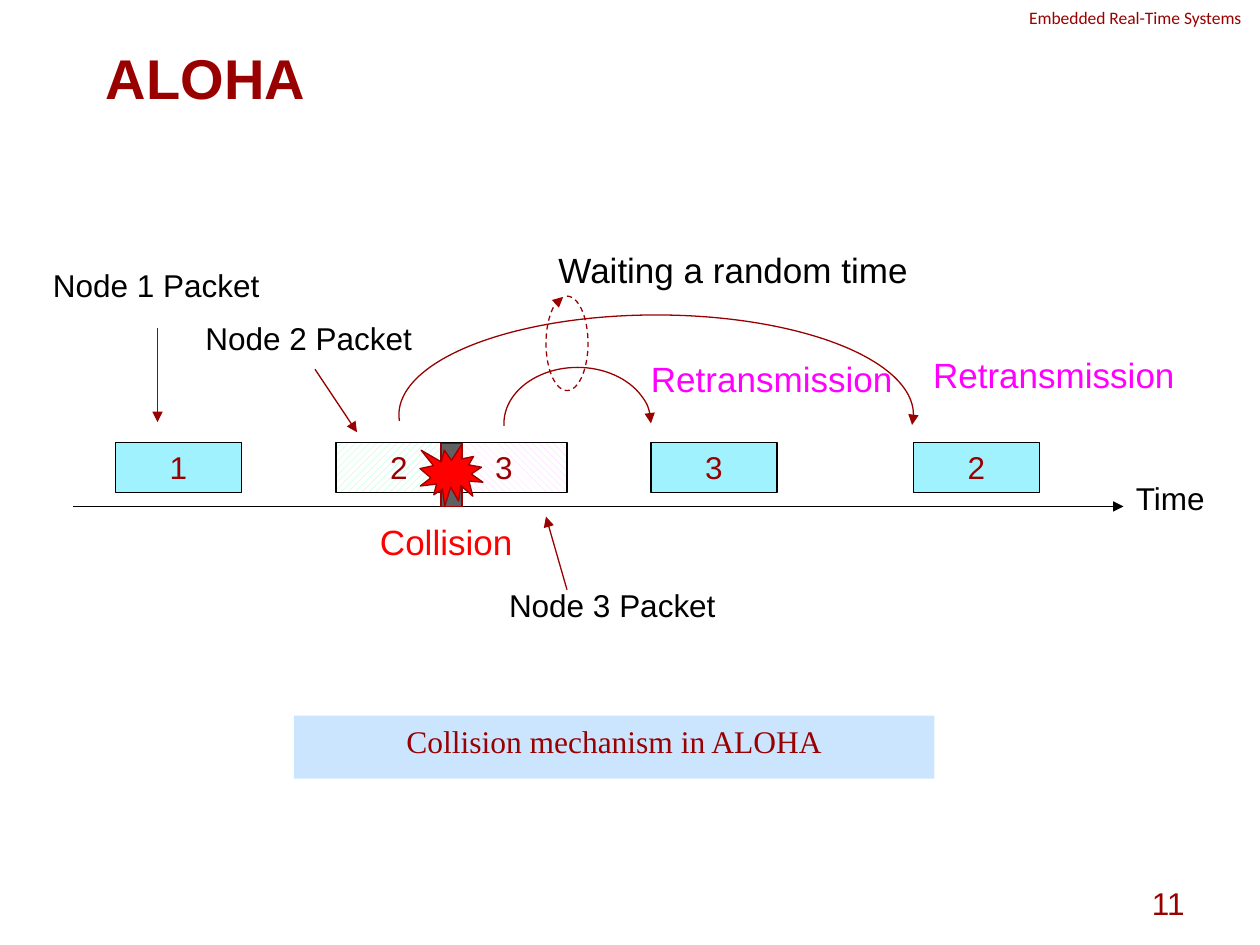
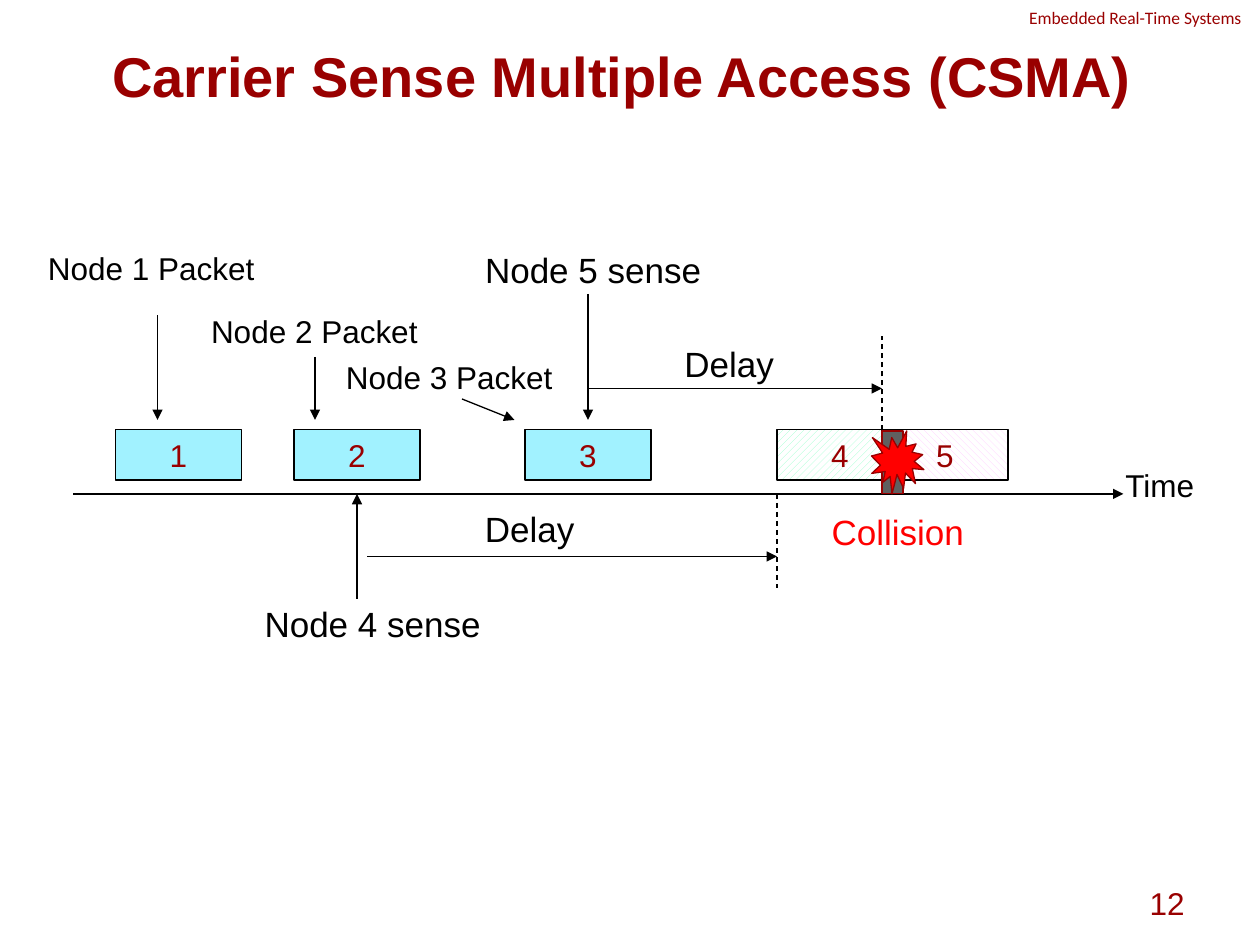
"""Build two slides on packet collisions in ALOHA and CSMA."""
from dataclasses import dataclass

from lxml import etree
from pptx import Presentation
from pptx.dml.color import RGBColor
from pptx.enum.dml import MSO_LINE, MSO_PATTERN
from pptx.enum.shapes import MSO_CONNECTOR, MSO_SHAPE
from pptx.enum.text import MSO_ANCHOR, PP_ALIGN
from pptx.oxml.ns import qn
from pptx.util import Pt

LEFT, CENTER, RIGHT = PP_ALIGN.LEFT, PP_ALIGN.CENTER, PP_ALIGN.RIGHT
TOP, MIDDLE = MSO_ANCHOR.TOP, MSO_ANCHOR.MIDDLE
RECTANGLE, ARC, BURST = MSO_SHAPE.RECTANGLE, MSO_SHAPE.ARC, MSO_SHAPE.EXPLOSION1
STRAIGHT, DASH = MSO_CONNECTOR.STRAIGHT, MSO_LINE.DASH
UPWARD, DOWNWARD = MSO_PATTERN.WIDE_UPWARD_DIAGONAL, MSO_PATTERN.WIDE_DOWNWARD_DIAGONAL

COLORS = {
    "maroon": "990000", "black": "000000", "white": "FFFFFF", "packet": "A1F2FF",
    "mint": "99FFCC", "pink": "FFCCFF", "red": "FF0000", "magenta": "FF00FF",
    "overlap": "606060", "caption": "99CCFF",
}
HATCHES = {"mint": UPWARD, "pink": DOWNWARD}
LINE_WIDTH = 0.75
AXIS_START, AXIS_END = 42, 642
PACKET_WIDTH, PACKET_HEIGHT, PACKET_RISE = 72, 28.8, 36.72
OVERLAP_WIDTH, OVERLAP_HEIGHT = 12, 36
TIME_RISE = 19.44


@dataclass
class Packet:
    """A numbered packet on the time axis."""
    text: str
    left: float
    fill: str = "packet"


@dataclass
class Label:
    """A line of text beside the diagram."""
    text: str
    left: float
    top: float
    width: float
    size: float = 18
    color: str = "black"
    align: PP_ALIGN = CENTER


@dataclass
class Line:
    """A straight line, with an arrowhead unless dashed."""
    start: tuple[float, float]
    end: tuple[float, float]
    color: str = "black"
    dashed: bool = False


@dataclass
class Curve:
    """A clockwise elliptical arc with an arrowhead, angles in degrees."""
    center: tuple[float, float]
    radii: tuple[float, float]
    angles: tuple[float, float]
    dashed: bool = False


@dataclass
class Diagram:
    """Everything that one slide shows."""
    number: int
    title: str
    title_box: tuple[float, float, float, float]
    axis_top: float
    time_left: float
    overlap_left: float
    burst: tuple[float, float]
    packets: list[Packet]
    labels: list[Label]
    lines: list[Line]
    curves: list[Curve]


ALOHA = Diagram(
    number=11, title="ALOHA", title_box=(53.28, 19.44, 612, 49.68),
    axis_top=289.44, time_left=642, overlap_left=252, burst=(240, 36),
    packets=[
        Packet("1", 66), Packet("2", 192, "mint"), Packet("3", 252, "pink"),
        Packet("3", 372), Packet("2", 522),
    ],
    labels=[
        Label("Collision", 192, 293.76, 126, 20, "red"),
        Label("Retransmission", 360, 200.88, 162, 20, "magenta"),
        Label("Retransmission", 516.24, 198.72, 172, 20, "magenta"),
        Label("Waiting a random time", 312, 138.24, 234, 20, align=LEFT),
        Label("Node 1 Packet", 17.28, 148.32, 144),
        Label("Node 2 Packet", 100.8, 178.56, 151.2),
        Label("Node 3 Packet", 275.76, 331.2, 148.32),
    ],
    lines=[
        Line((90, 187.2), (90, 241.2), "maroon"),
        Line((180, 211), (204, 247), "maroon"),
        Line((324, 337), (312, 295.2), "maroon"),
    ],
    curves=[
        Curve((330, 242), (42, 32), (178, 0)),
        Curve((375, 237), (147, 57), (178.6, 2.3)),
        Curve((324, 196.2), (12, 27), (270, 265.3), dashed=True),
    ],
)

CSMA = Diagram(
    number=12, title="Carrier Sense Multiple Access (CSMA)",
    title_box=(56.88, 12.96, 630, 59.76),
    axis_top=282.24, time_left=636, overlap_left=504, burst=(498, 30),
    packets=[
        Packet("1", 66), Packet("2", 168), Packet("3", 300),
        Packet("4", 444, "mint"), Packet("5", 504, "pink"),
    ],
    labels=[
        Label("Collision", 450, 288, 126, 20, "red"),
        Label("Node 4 sense", 138, 340.56, 150, 20),
        Label("Node 5 sense", 270, 138.24, 138, 20),
        Label("Delay", 270, 286.56, 72, 20, align=LEFT),
        Label("Delay", 384, 192.24, 72, 20, align=LEFT),
        Label("Node 1 Packet", 10.8, 138.96, 151.2),
        Label("Node 2 Packet", 97.92, 174.96, 163.44),
        Label("Node 3 Packet", 175.68, 200.88, 162),
    ],
    lines=[
        Line((204, 342), (204, 282.24)),
        Line((210, 318), (444, 318)),
        Line((444, 282.24), (444, 336), dashed=True),
        Line((336, 168), (336, 240)),
        Line((336, 222), (504, 222)),
        Line((504, 246), (504, 192), dashed=True),
        Line((90, 180), (90, 240)),
        Line((180, 204), (180, 240)),
        Line((264, 228), (294, 240)),
    ],
    curves=[],
)


def rgb(name: str) -> RGBColor:
    """Return a named colour."""
    return RGBColor.from_string(COLORS[name])


def write(shape, text: str, *, size: float = 18, color: str = "maroon", font: str = "Arial",
          bold: bool = False, align: PP_ALIGN = LEFT, anchor: MSO_ANCHOR = TOP,
          wrap: bool = True) -> None:
    """Put one formatted line of text into a shape."""
    frame = shape.text_frame
    frame.word_wrap = wrap
    frame.vertical_anchor = anchor
    paragraph = frame.paragraphs[0]
    paragraph.alignment = align
    run = paragraph.add_run()
    run.text = text
    run.font.name = font
    run.font.size = Pt(size)
    run.font.bold = bold
    run.font.color.rgb = rgb(color)


def add_text(slide, text: str, left: float, top: float, width: float, height: float,
             **formatting) -> None:
    """Add a text box holding one line."""
    box = slide.shapes.add_textbox(Pt(left), Pt(top), Pt(width), Pt(height))
    write(box, text, **formatting)


def style_line(shape, color: str, dashed: bool = False, arrow: bool = False) -> None:
    """Set the outline, dash and arrowhead of a shape or connector."""
    shape.line.color.rgb = rgb(color)
    shape.line.width = Pt(LINE_WIDTH)
    if dashed:
        shape.line.dash_style = DASH
    if arrow:
        outline = shape._element.spPr.find(qn("a:ln"))
        etree.SubElement(outline, qn("a:tailEnd"), type="triangle")


def add_shape(slide, kind: MSO_SHAPE, left: float, top: float, width: float, height: float,
              fill: str | None = None, line: str | None = None):
    """Add a flat preset shape with a solid, hatched or empty fill."""
    shape = slide.shapes.add_shape(kind, Pt(left), Pt(top), Pt(width), Pt(height))
    shape.shadow.inherit = False
    if fill is None:
        shape.fill.background()
    elif fill in HATCHES:
        shape.fill.patterned()
        shape.fill.pattern = HATCHES[fill]
        shape.fill.fore_color.rgb = rgb(fill)
        shape.fill.back_color.rgb = rgb("white")
    else:
        shape.fill.solid()
        shape.fill.fore_color.rgb = rgb(fill)
    if line is None:
        shape.line.fill.background()
    else:
        style_line(shape, line)
    return shape


def add_line(slide, line: Line) -> None:
    """Draw a straight line or arrow."""
    points = [Pt(value) for value in (*line.start, *line.end)]
    connector = slide.shapes.add_connector(STRAIGHT, *points)
    style_line(connector, line.color, line.dashed, arrow=not line.dashed)
    etree.SubElement(connector._element.spPr, qn("a:effectLst"))


def add_curve(slide, curve: Curve) -> None:
    """Draw an arc that ends in an arrowhead."""
    (x, y), (across, down) = curve.center, curve.radii
    arc = add_shape(slide, ARC, x - across, y - down, 2 * across, 2 * down)
    for index, angle in enumerate(curve.angles):
        arc.adjustments[index] = angle * 0.6
    style_line(arc, "maroon", curve.dashed, arrow=True)


def add_collision(slide, diagram: Diagram) -> None:
    """Mark the overlap of two packets with a bar and a burst."""
    top = diagram.axis_top - OVERLAP_HEIGHT
    burst_left, burst_width = diagram.burst
    add_shape(slide, RECTANGLE, diagram.overlap_left, top, OVERLAP_WIDTH, OVERLAP_HEIGHT,
              "overlap", "maroon")
    add_shape(slide, BURST, burst_left, top, burst_width, OVERLAP_HEIGHT, "red", "maroon")


def add_caption(slide, text: str) -> None:
    """Add the half-transparent caption band."""
    band = add_shape(slide, RECTANGLE, 168, 409, 366, 36, "caption")
    color = band._element.spPr.find(qn("a:solidFill"))[0]
    etree.SubElement(color, qn("a:alpha"), val="50000")
    write(band, text, font="Times New Roman", align=CENTER)


def add_frame(presentation, diagram: Diagram):
    """Add a slide with its title, header and number."""
    slide = presentation.slides.add_slide(presentation.slide_layouts[5])
    title = slide.shapes.title
    title.left, title.top, title.width, title.height = map(Pt, diagram.title_box)
    write(title, diagram.title, size=32, bold=True, anchor=MIDDLE)
    add_text(slide, "Embedded Real-Time Systems", 581, 0.72, 139, 19.44,
             size=10, font="Calibri", wrap=False)
    add_text(slide, str(diagram.number), 534, 498, 150, 36, align=RIGHT, anchor=MIDDLE)
    return slide


def add_diagram(presentation, diagram: Diagram):
    """Add a slide with a complete timing diagram."""
    slide = add_frame(presentation, diagram)
    axis_top = diagram.axis_top
    add_line(slide, Line((AXIS_START, axis_top), (AXIS_END, axis_top)))
    for packet in diagram.packets:
        box = add_shape(slide, RECTANGLE, packet.left, axis_top - PACKET_RISE,
                        PACKET_WIDTH, PACKET_HEIGHT, packet.fill, "black")
        write(box, packet.text, align=CENTER)
    time = Label("Time", diagram.time_left, axis_top - TIME_RISE, 72, align=LEFT)
    for label in [time, *diagram.labels]:
        add_text(slide, label.text, label.left, label.top, label.width, label.size * 1.2 + 7.2,
                 size=label.size, color=label.color, align=label.align)
    for curve in diagram.curves:
        add_curve(slide, curve)
    add_collision(slide, diagram)
    for line in diagram.lines:
        add_line(slide, line)
    return slide


def main() -> None:
    """Build and save the presentation."""
    presentation = Presentation()
    presentation.slide_width, presentation.slide_height = Pt(720), Pt(540)
    aloha_slide = add_diagram(presentation, ALOHA)
    add_caption(aloha_slide, "Collision mechanism in ALOHA")
    add_diagram(presentation, CSMA)
    presentation.save("out.pptx")


if __name__ == "__main__":
    main()
